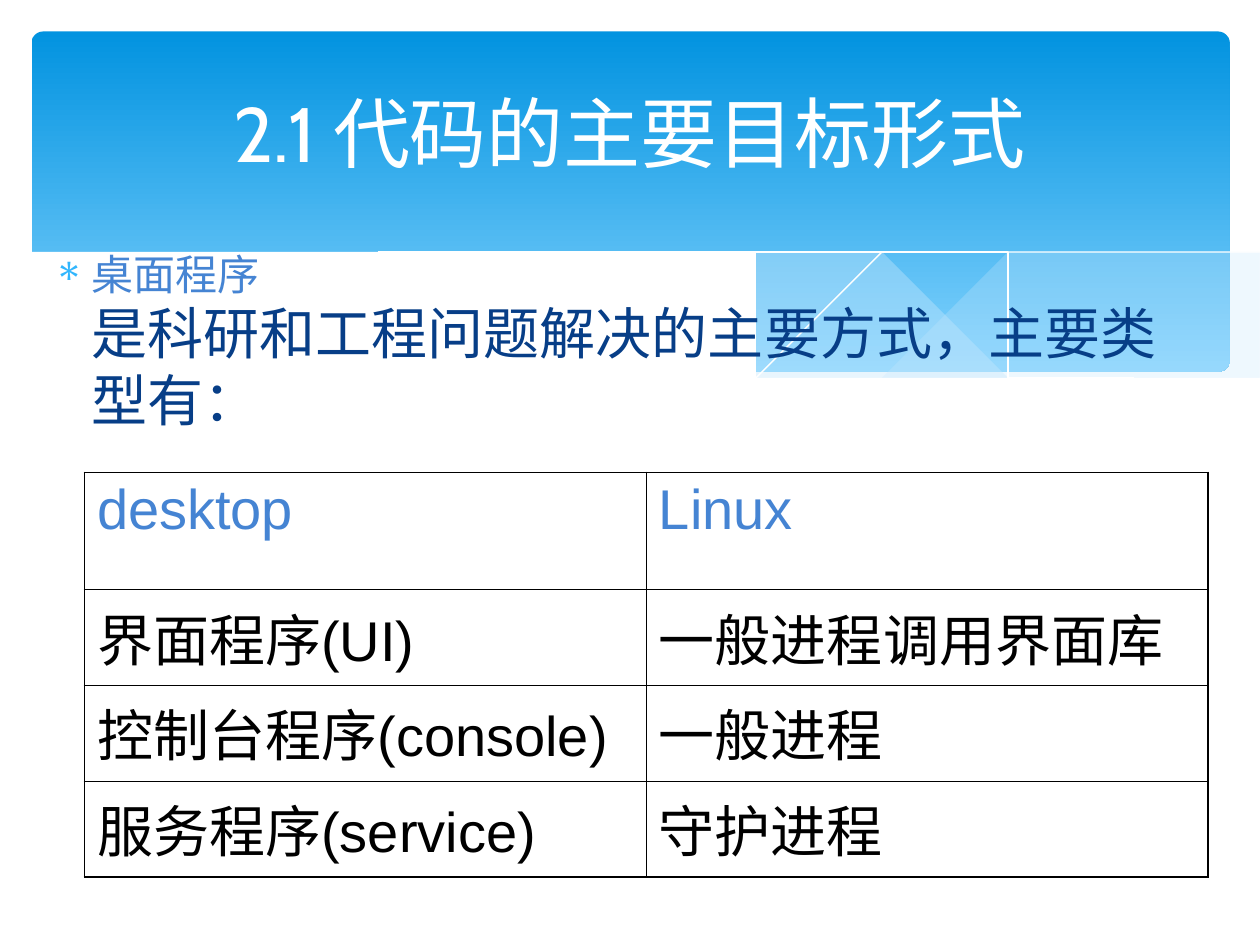
from dataclasses import dataclass

from lxml.etree import SubElement
from pptx import Presentation
from pptx.dml.color import RGBColor
from pptx.enum.shapes import MSO_SHAPE
from pptx.enum.text import MSO_ANCHOR, PP_ALIGN
from pptx.oxml.ns import qn
from pptx.util import Inches, Pt

Point = tuple[float, float]


@dataclass
class Wave:
    curves: list[list[Point]]
    color: str
    opacity: int = 100
    closed: bool = True


WAVES = [
    Wave([[(9.76, 2), (9.35, 2.07), (8.91, 2.16), (8.32, 2.3), (7.53, 2.48), (6.61, 2.65)],
          [(6.61, 2.65), (7.05, 2.71), (7.57, 2.76), (8.14, 2.78), (8.63, 2.75),
           (9.13, 2.67), (9.49, 2.57), (9.76, 2.47)]], "C6E7FC", 29),
    Wave([[(8.93, 2.73), (8.37, 2.65), (7.75, 2.54), (7.06, 2.4), (6.29, 2.22), (5.69, 2.08),
           (5.14, 1.98), (4.64, 1.91), (4.2, 1.87), (3.8, 1.85), (3.28, 1.87), (2.86, 1.91)],
          [(2.86, 1.91), (3.42, 1.99), (4.04, 2.11), (4.91, 2.32), (5.66, 2.48), (6.34, 2.61),
           (6.95, 2.7), (7.48, 2.76), (8.07, 2.79), (8.57, 2.77), (8.93, 2.73)]], "C6E7FC", 40),
    Wave([[(3.09, 1.95), (3.43, 1.9), (3.87, 1.87), (4.33, 1.87), (4.89, 1.9), (5.56, 1.97),
           (6.36, 2.08), (7.27, 2.26), (8.31, 2.51), (9.07, 2.72)]], "FFFFFF", closed=False),
    Wave([[(6.13, 2.57), (6.72, 2.41), (7.48, 2.23), (8.36, 2.04), (8.95, 1.94),
           (9.37, 1.88), (9.75, 1.85)]], "FFFFFF", closed=False),
    Wave([[(9.77, 2.46), (9.4, 2.59), (8.99, 2.69), (8.5, 2.75), (8.09, 2.77), (7.61, 2.75),
           (7.08, 2.7), (6.47, 2.62), (5.79, 2.5), (5.03, 2.33), (4.18, 2.13), (3.65, 2.02),
           (3.15, 1.94), (2.71, 1.88), (2.3, 1.85), (1.93, 1.84), (1.46, 1.85), (1.06, 1.89),
           (0.75, 1.95), (0.46, 2.03), (0.23, 2.13)],
          [(0.23, 3.29), (9.77, 3.29)]], "FFFFFF"),
]

ROWS = [
    ("desktop", "Linux"),
    ("界面程序(UI)", "一般进程调用界面库"),
    ("控制台程序(console)", "一般进程"),
    ("服务程序(service)", "守护进程"),
]


def rgb(color: str) -> RGBColor:
    return RGBColor.from_string(color)


def smooth(knots: list[Point], steps: int = 4) -> list[Point]:
    if len(knots) < 3:
        return knots
    padded = [knots[0], *knots, knots[-1]]
    points = [knots[0]]
    for a, b, c, d in zip(padded, padded[1:], padded[2:], padded[3:]):
        for i in range(1, steps + 1):
            t = i / steps
            x, y = (
                (2 * q + (r - o) * t + (2 * o - 5 * q + 4 * r - u) * t**2
                 + (3 * q - o - 3 * r + u) * t**3) / 2
                for o, q, r, u in zip(a, b, c, d)
            )
            points.append((x, y))
    return points


def add_wave(s, wave: Wave) -> None:
    points = [pt for curve in wave.curves for pt in smooth(curve)]
    builder = s.shapes.build_freeform(*points[0], scale=Inches(1))
    builder.add_line_segments(points[1:], close=wave.closed)
    sp = builder.convert_to_shape()
    sp.shadow.inherit = False
    if not wave.closed:
        sp.fill.background()
        sp.line.color.rgb = rgb(wave.color)
        sp.line.width = Pt(0)
        return
    sp.line.fill.background()
    sp.fill.solid()
    sp.fill.fore_color.rgb = rgb(wave.color)
    if wave.opacity < 100:
        clr = sp.fill._xPr.find(f"{qn('a:solidFill')}/{qn('a:srgbClr')}")
        SubElement(clr, qn("a:alpha"), val=str(wave.opacity * 1000))


def add_text(p, text: str, *, size: int, color: str, font: str = "Cabin",
             align: PP_ALIGN = PP_ALIGN.LEFT) -> None:
    p.alignment = align
    r = p.add_run()
    r.text = text
    r.font.size = Pt(size)
    r.font.name = font
    r.font.color.rgb = rgb(color)


def add_banner(s) -> None:
    sp = s.shapes.add_shape(MSO_SHAPE.ROUNDED_RECTANGLE, Inches(0.25), Inches(0.25),
                            Inches(9.51), Inches(2.7))
    sp.adjustments[0] = 0.034
    sp.shadow.inherit = False
    sp.line.fill.background()
    sp.fill.gradient()
    sp.fill.gradient_angle = 270
    for stop, position, color in zip(sp.fill.gradient_stops, (0, 1), ("0293E0", "83D3FE")):
        stop.position = position
        stop.color.rgb = rgb(color)


def add_title(s, text: str) -> None:
    sp = s.shapes.title
    s.shapes._spTree.append(sp._element)
    sp.left, sp.top, sp.width, sp.height = map(Inches, (0.33, 0.42, 9.34, 1.25))
    tf = sp.text_frame
    tf.vertical_anchor = MSO_ANCHOR.MIDDLE
    add_text(tf.paragraphs[0], text, size=44, color="FFFFFF", align=PP_ALIGN.CENTER)


def add_body(s) -> None:
    tf = s.shapes.add_textbox(Inches(0.33), Inches(1.92), Inches(9.25), Inches(1.7)).text_frame
    tf.word_wrap = True
    p = tf.paragraphs[0]
    pPr = p._p.get_or_add_pPr()
    pPr.set("marL", str(Inches(0.3)))
    pPr.set("indent", str(-Inches(0.3)))
    SubElement(SubElement(pPr, qn("a:buClr")), qn("a:srgbClr"), val="31B6FD")
    SubElement(pPr, qn("a:buChar"), char="∗")
    add_text(p, "桌面程序", size=24, color="4584D3")
    p.add_line_break()
    add_text(p, "是科研和工程问题解决的主要方式，主要类型有：", size=32, color="073E87")


def set_borders(cell, outer: dict[str, bool]) -> None:
    tcPr = cell._tc.get_or_add_tcPr()
    for i, (side, is_outer) in enumerate(outer.items()):
        ln = tcPr.makeelement(qn(f"a:{side}"), {"w": str(Pt(1.08 if is_outer else 0.45))})
        SubElement(SubElement(ln, qn("a:solidFill")), qn("a:srgbClr"), val="000000")
        tcPr.insert(i, ln)


def add_program_table(s) -> None:
    n_rows, n_cols = len(ROWS), len(ROWS[0])
    table = s.shapes.add_table(n_rows, n_cols, Inches(0.67), Inches(3.75),
                               Inches(8.92), Inches(3.2)).table
    table.first_row = table.horz_banding = False
    for i, row in enumerate(ROWS):
        table.rows[i].height = Inches(0.76 if i else 0.93)
        for j, text in enumerate(row):
            cell = table.cell(i, j)
            cell.fill.background()
            set_borders(cell, {"lnL": j == 0, "lnR": j == n_cols - 1,
                               "lnT": i == 0, "lnB": i == n_rows - 1})
            add_text(cell.text_frame.paragraphs[0], text, size=32, font="Arial",
                     color="000000" if i else "4584D3")


def main() -> None:
    prs = Presentation()
    prs.slide_width, prs.slide_height = Inches(10), Inches(7.5)
    s = prs.slides.add_slide(prs.slide_layouts[5])
    add_banner(s)
    for wave in WAVES:
        add_wave(s, wave)
    add_title(s, "2.1 代码的主要目标形式")
    add_body(s)
    add_program_table(s)
    prs.save("out.pptx")


if __name__ == "__main__":
    main()
